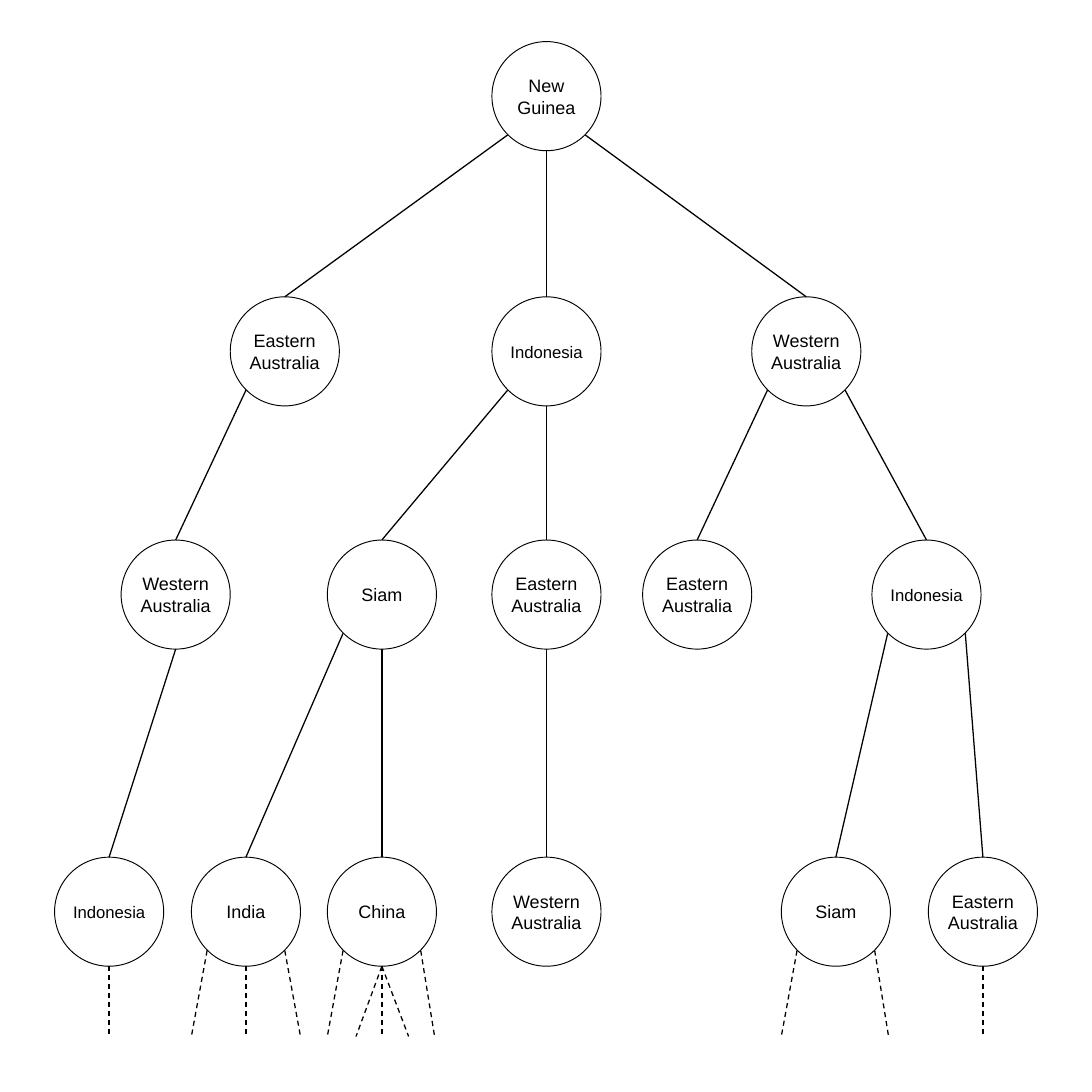
from dataclasses import dataclass
from math import sqrt

from pptx import Presentation
from pptx.dml.color import RGBColor
from pptx.enum.dml import MSO_LINE
from pptx.enum.shapes import MSO_CONNECTOR, MSO_SHAPE
from pptx.enum.text import MSO_ANCHOR, PP_ALIGN
from pptx.oxml.ns import qn
from pptx.util import Inches, Pt


@dataclass(frozen=True)
class Theme:
    ink: RGBColor = RGBColor(0, 0, 0)
    paper: RGBColor = RGBColor(255, 255, 255)
    font: str = "Arial"
    label_size: int = 14
    long_word_size: int = 13
    outline: float = 0.75
    branch: float = 1


theme = Theme()
SIZE = 11.81
DIAMETER = 1.18
RADIUS = DIAMETER / 2
LEVEL_TOPS = [0.45, 3.21, 5.84, 9.27]
STUB_END = 11.21
LEFT, MIDDLE, RIGHT = -1, 0, 1

presentation = Presentation()
presentation.slide_width = presentation.slide_height = Inches(SIZE)
slide = presentation.slides.add_slide(presentation.slide_layouts[6])


def add_text(shape, text, size=theme.label_size, color=theme.ink, font=theme.font):
    frame = shape.text_frame
    frame.word_wrap = True
    frame.vertical_anchor = MSO_ANCHOR.MIDDLE
    frame.margin_left = frame.margin_right = frame.margin_top = frame.margin_bottom = 0
    paragraph = frame.paragraphs[0]
    paragraph.alignment = PP_ALIGN.CENTER
    run = paragraph.add_run()
    run.text = text
    run.font.name = font
    run.font.size = Pt(size)
    run.font.color.rgb = color


def add_branch(node, side, end_x, end_y, dash=None):
    level, left = node
    reach = RADIUS / sqrt(2) if side else RADIUS
    start_x = left + RADIUS + side * reach
    start_y = LEVEL_TOPS[level] + RADIUS + reach
    ends = [Inches(round(value, 2)) for value in (start_x, start_y, end_x, end_y)]
    line = slide.shapes.add_connector(MSO_CONNECTOR.STRAIGHT, *ends)
    line.line.color.rgb = theme.ink
    line.line.width = Pt(theme.branch)
    if dash:
        line.line.dash_style = dash
    properties = line._element.spPr
    properties.append(properties.makeelement(qn("a:effectLst"), {}))


labels = {
    (0, 5.32): "New Guinea",
    (1, 2.49): "Eastern Australia",
    (1, 5.32): "Indonesia",
    (1, 8.13): "Western Australia",
    (2, 1.31): "Western Australia",
    (2, 3.54): "Siam",
    (2, 5.32): "Eastern Australia",
    (2, 6.95): "Eastern Australia",
    (2, 9.43): "Indonesia",
    (3, 0.59): "Indonesia",
    (3, 2.07): "India",
    (3, 3.54): "China",
    (3, 5.32): "Western Australia",
    (3, 8.45): "Siam",
    (3, 10.04): "Eastern Australia",
}

children = {
    (0, 5.32): [(LEFT, 2.49), (MIDDLE, 5.32), (RIGHT, 8.13)],
    (1, 2.49): [(LEFT, 1.31)],
    (1, 5.32): [(LEFT, 3.54), (MIDDLE, 5.32)],
    (1, 8.13): [(LEFT, 6.95), (RIGHT, 9.43)],
    (2, 1.31): [(MIDDLE, 0.59)],
    (2, 3.54): [(LEFT, 2.07), (MIDDLE, 3.54)],
    (2, 5.32): [(MIDDLE, 5.32)],
    (2, 9.43): [(LEFT, 8.45), (RIGHT, 10.04)],
}

outer_left, centre, outer_right = (LEFT, -RADIUS), (MIDDLE, 0), (RIGHT, 0.57)
stubs = {
    (3, 0.59): [centre],
    (3, 2.07): [outer_left, centre, (RIGHT, RADIUS)],
    (3, 3.54): [outer_left, (MIDDLE, -0.28), centre, (MIDDLE, 0.29), outer_right],
    (3, 8.45): [outer_left, outer_right],
    (3, 10.04): [centre],
}

for (level, left), label in labels.items():
    circle = slide.shapes.add_shape(
        MSO_SHAPE.OVAL,
        Inches(left),
        Inches(LEVEL_TOPS[level]),
        Inches(DIAMETER),
        Inches(DIAMETER),
    )
    circle.shadow.inherit = False
    circle.fill.solid()
    circle.fill.fore_color.rgb = theme.paper
    circle.line.color.rgb = theme.ink
    circle.line.width = Pt(theme.outline)
    size = theme.long_word_size if label == "Indonesia" else theme.label_size
    add_text(circle, label, size=size)

for parent, branches in children.items():
    for side, child_left in branches:
        add_branch(parent, side, child_left + RADIUS, LEVEL_TOPS[parent[0] + 1])

for node, ends in stubs.items():
    for side, offset in ends:
        add_branch(node, side, node[1] + RADIUS + offset, STUB_END, dash=MSO_LINE.DASH)

presentation.save("out.pptx")
